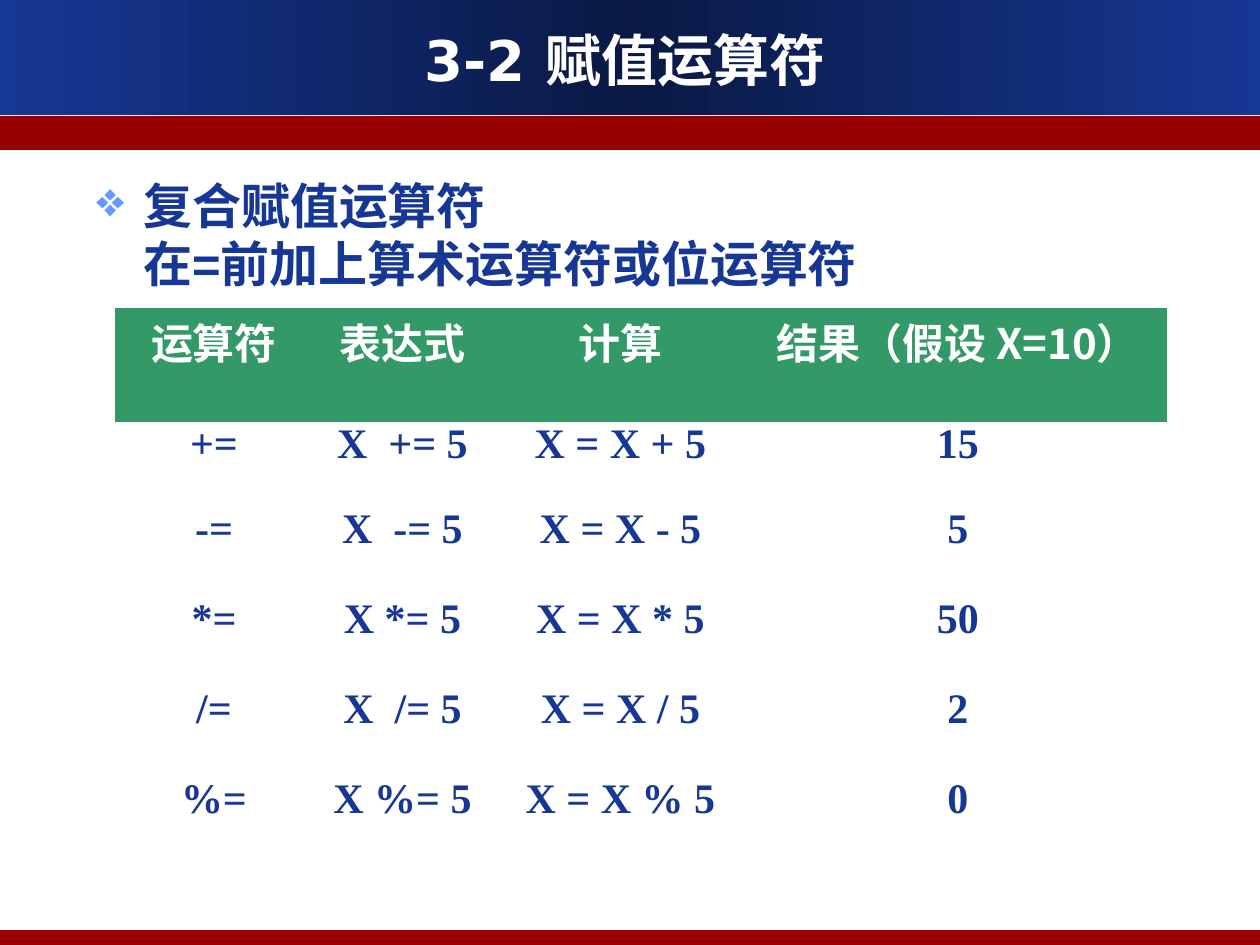
from copy import deepcopy

from lxml import etree
from pptx import Presentation, util as u
from pptx.dml.color import RGBColor
from pptx.enum import shapes, text
from pptx.oxml import ns

NAVY = RGBColor(0x16, 0x37, 0x94)
MIDNIGHT = RGBColor(0x0A, 0x19, 0x44)
RED = RGBColor(0x99, 0x00, 0x00)
GREEN = RGBColor(0x33, 0x99, 0x66)
WHITE = RGBColor(0xFF, 0xFF, 0xFF)
SKY = RGBColor(0x66, 0x99, 0xFF)

PX = 914400 / 126
HAN_FONT = "Noto Sans CJK SC"
NO_TABLE_STYLE = "{2D5ABB26-0587-4C30-8999-92F81FD0307C}"

TITLE = {"name": "DejaVu Sans", "size": u.Pt(32), "bold": True}
BODY = {"name": "Arial", "size": u.Pt(28), "bold": True}
HEADER = {"name": HAN_FONT, "size": u.Pt(24), "bold": True}
CELL = {"name": "Times New Roman", "size": u.Pt(24), "bold": True}

COLUMNS = [198, 179, 257, 418]
ROWS = [114, 86, 90, 90, 90, 90]
OPERATORS = [
    ["运算符", "表达式", "计算", "结果（假设 X=10）"],
    ["+=", "X  += 5", "X = X + 5", "15"],
    ["-=", "X  -= 5", "X = X - 5", "5"],
    ["*=", "X *= 5", "X = X * 5", "50"],
    ["/=", "X  /= 5", "X = X / 5", "2"],
    ["%=", "X %= 5", "X = X % 5", "0"],
]


def px(*lengths):
    return [u.Emu(round(length * PX)) for length in lengths]


def add_element(parent, tag, **attributes):
    return etree.SubElement(parent, ns.qn(tag), attributes)


class Deck:
    def __init__(self, width, height):
        self.presentation = Presentation()
        self.presentation.slide_width, self.presentation.slide_height = px(width, height)
        self.slide = self.presentation.slides.add_slide(self.presentation.slide_layouts[6])

    def band(self, top, height, color):
        band = self.slide.shapes.add_shape(
            shapes.MSO_SHAPE.RECTANGLE, *px(0, top, 1260, height))
        band.shadow.inherit = False
        band.line.fill.background()
        band.fill.solid()
        band.fill.fore_color.rgb = color
        return band

    def gradient_band(self, top, height, edge, middle):
        band = self.band(top, height, edge)
        band.fill.gradient()
        band.fill.gradient_angle = 0
        for stop, color, position in zip(band.fill.gradient_stops, (edge, middle), (0, 0.5)):
            stop.color.rgb = color
            stop.position = position
        stops = band._element.spPr.find(".//" + ns.qn("a:gsLst"))
        last = deepcopy(stops[0])
        last.set("pos", "100000")
        stops.append(last)

    def add_words(self, paragraph, words, style, color, **layout):
        run = paragraph.add_run()
        run.text = words
        for name, value in style.items():
            setattr(run.font, name, value)
        run.font.color.rgb = color
        add_element(run._r.get_or_add_rPr(), "a:ea", typeface=HAN_FONT)
        for name, value in layout.items():
            setattr(paragraph, name, value)

    def textbox(self, *box, **layout):
        frame = self.slide.shapes.add_textbox(*px(*box)).text_frame
        for name, value in {"word_wrap": True, **layout}.items():
            setattr(frame, name, value)
        return frame

    def title(self, words, *box):
        frame = self.textbox(*box, vertical_anchor=text.MSO_ANCHOR.MIDDLE,
                             margin_top=0, margin_bottom=0)
        self.add_words(frame.paragraphs[0], words, TITLE, WHITE,
                       alignment=text.PP_ALIGN.CENTER)

    def topic(self, heading, detail, *box):
        frame = self.textbox(*box, margin_top=0)
        hanging = px(47)[0]
        for words, indent in ((heading, -hanging), (detail, 0)):
            paragraph = frame.paragraphs[0] if indent else frame.add_paragraph()
            self.add_words(paragraph, words, BODY, NAVY)
            properties = paragraph._p.get_or_add_pPr()
            properties.set("marL", str(hanging))
            properties.set("indent", str(indent))
            if indent:
                bullet_color = add_element(properties, "a:buClr")
                add_element(bullet_color, "a:srgbClr", val=str(SKY))
                add_element(properties, "a:buChar", char="❖")

    def table(self, left, top, columns, rows, content):
        table = self.slide.shapes.add_table(
            len(rows), len(columns), *px(left, top, sum(columns), sum(rows))).table
        table._tbl.tblPr.find(ns.qn("a:tableStyleId")).text = NO_TABLE_STYLE
        table.horz_banding = False
        for column, width in zip(table.columns, px(*columns)):
            column.width = width
        for row, height, entries in zip(table.rows, px(*rows), content):
            row.height = height
            is_header = entries is content[0]
            style, color, spacing = (HEADER, WHITE, 0.93) if is_header else (CELL, NAVY, 0.8)
            for cell, words in zip(row.cells, entries):
                if is_header:
                    cell.fill.solid()
                    cell.fill.fore_color.rgb = GREEN
                else:
                    cell.fill.background()
                self.add_words(cell.text_frame.paragraphs[0], words, style, color,
                               alignment=text.PP_ALIGN.CENTER, line_spacing=spacing)


def main():
    deck = Deck(1260, 945)
    deck.gradient_band(0, 115, NAVY, MIDNIGHT)
    deck.band(116, 34, RED)
    deck.band(930, 16, RED)
    deck.title("3-2 赋值运算符", 42, 20, 1166, 79)
    deck.table(115, 308, COLUMNS, ROWS, OPERATORS)
    deck.topic("复合赋值运算符", "在=前加上算术运算符或位运算符", 84, 175, 1071, 110)
    deck.presentation.save("out.pptx")


if __name__ == "__main__":
    main()
